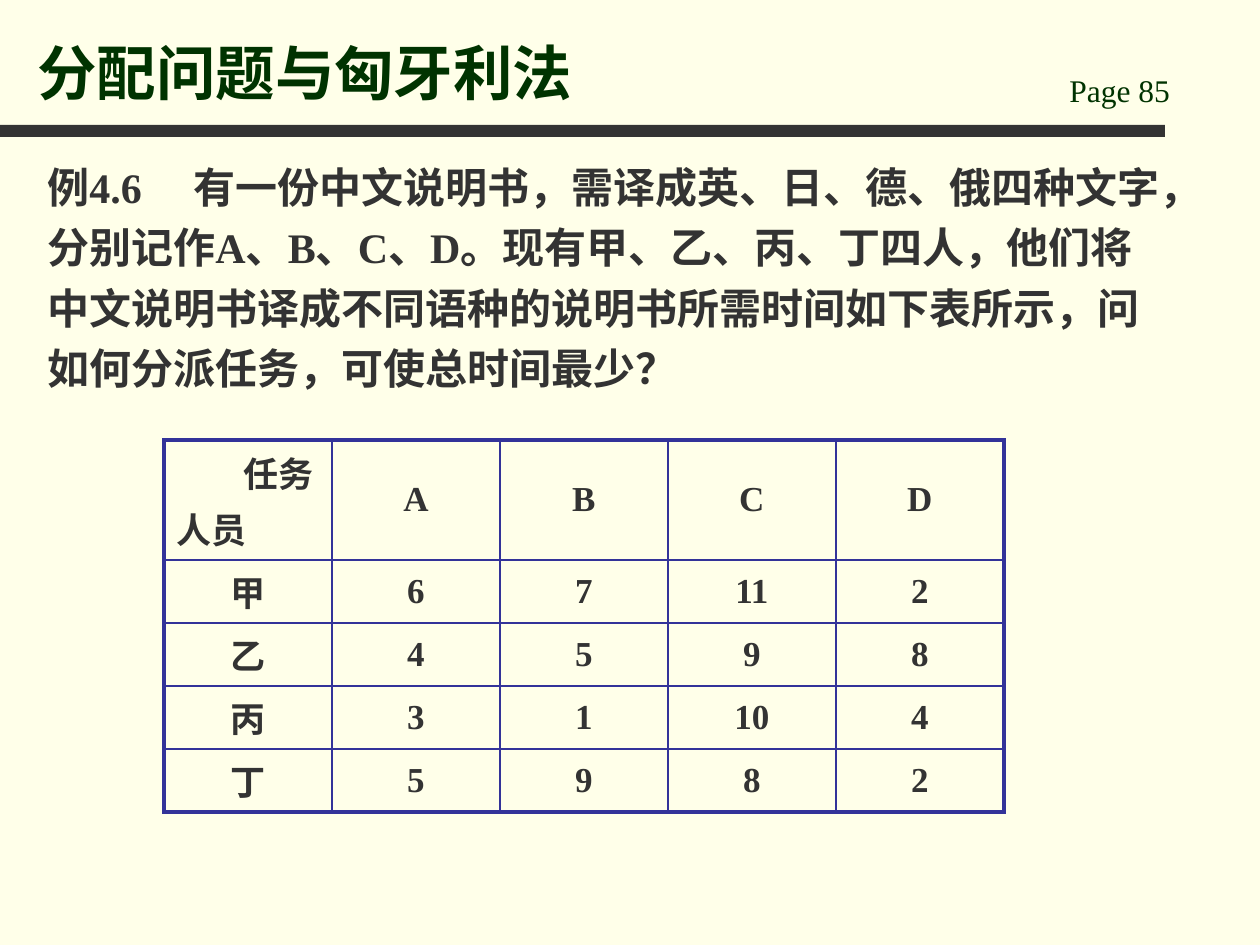
from pptx import Presentation
from pptx.dml.color import RGBColor
from pptx.enum.lang import MSO_LANGUAGE_ID
from pptx.enum.shapes import MSO_SHAPE
from pptx.enum.text import MSO_ANCHOR, PP_ALIGN
from pptx.oxml.ns import qn
from pptx.util import Pt
from lxml.etree import SubElement

PX = 914400 / 126
CREAM = RGBColor(0xFF, 0xFF, 0xE9)
GREEN = RGBColor(0x00, 0x33, 0x00)
DARK = RGBColor(0x33, 0x33, 0x33)
BLUE = RGBColor(0x33, 0x33, 0x99)
FONT = "Times New Roman"

TITLE = "分配问题与匈牙利法"
PROBLEM = ("例4.6\t有一份中文说明书，需译成英、日、德、俄四种文字，"
           "分别记作A、B、C、D。现有甲、乙、丙、丁四人，"
           "他们将中文说明书译成不同语种的说明书所需时间如下表所示，"
           "问如何分派任务，可使总时间最少？")
TASKS = ["A", "B", "C", "D"]
HOURS = {
    "甲": [6, 7, 11, 2],
    "乙": [4, 5, 9, 8],
    "丙": [3, 1, 10, 4],
    "丁": [5, 9, 8, 2],
}


def px(*values):
    return [round(v * PX) for v in values]


def write(p, text, size, color, bold=True, **layout):
    r = p.add_run()
    r.text = text
    r.font.color.rgb = color
    look = {"name": FONT, "size": Pt(size), "bold": bold,
            "language_id": MSO_LANGUAGE_ID.SIMPLIFIED_CHINESE}
    for target, values in ((r.font, look), (p, layout)):
        for name, value in values.items():
            setattr(target, name, value)


def add_text(s, box, text, size, color, anchor=MSO_ANCHOR.TOP, **kw):
    tf = s.shapes.add_textbox(*px(*box)).text_frame
    tf.word_wrap = True
    tf.vertical_anchor = anchor
    p = tf.paragraphs[0]
    write(p, text, size, color, **kw)
    return p


def add_header(s, x, y, w, h):
    bar = s.shapes.add_shape(MSO_SHAPE.RECTANGLE, *px(x, y + h - 12, w, 12))
    bar.shadow.inherit = False
    bar.fill.solid()
    bar.fill.fore_color.rgb = DARK
    bar.line.fill.background()
    add_text(s, (x + 1057, y + 65, 179, 50), "Page 85", 18, GREEN, bold=False)
    add_text(s, (x + 25, y + 16, 1012, 98), TITLE, 34, GREEN, MSO_ANCHOR.BOTTOM)


def add_problem(s, *box):
    p = add_text(s, box, PROBLEM, 24, DARK, line_spacing=1.2, space_before=Pt(3.6))
    tabs = SubElement(p._p.get_or_add_pPr(), qn("a:tabLst"))
    SubElement(tabs, qn("a:tab"), pos=str(px(146)[0]), algn="l")


def set_borders(cell, widths):
    tcPr = cell._tc.get_or_add_tcPr()
    for side, width in widths.items():
        ln = SubElement(tcPr, qn(f"a:ln{side}"), w=str(Pt(width)))
        fill = SubElement(ln, qn("a:solidFill"))
        SubElement(fill, qn("a:srgbClr"), val=str(BLUE))


def add_hours_table(s, x, y, w, h):
    rows = [[None, *TASKS]] + [[who, *hours] for who, hours in HOURS.items()]
    n_rows, n_cols = len(rows), len(rows[0])
    row_h = 63
    table = s.shapes.add_table(n_rows, n_cols, *px(x, y, w, h)).table
    table.first_row = table.horz_banding = False
    for col in table.columns:
        col.width = px(w / n_cols)[0]
    for i, row in enumerate(table.rows):
        row.height = px(row_h if i else h - row_h * (n_rows - 1))[0]
    for i, values in enumerate(rows):
        for j, value in enumerate(values):
            cell = table.cell(i, j)
            cell.vertical_anchor = MSO_ANCHOR.MIDDLE
            cell.margin_top = cell.margin_bottom = px(4)[0]
            edges = {"L": j == 0, "R": j == n_cols - 1,
                     "T": i == 0, "B": i == n_rows - 1}
            set_borders(cell, {k: 2.25 if outer else 1 for k, outer in edges.items()})
            cell.fill.background()
            lines = [(str(value), PP_ALIGN.CENTER)]
            if value is None:
                lines = [("任务", PP_ALIGN.RIGHT), ("人员", PP_ALIGN.LEFT)]
                cell.margin_right = px(18)[0]
            tf = cell.text_frame
            for k, (text, align) in enumerate(lines):
                p = tf.add_paragraph() if k else tf.paragraphs[0]
                write(p, text, 20, DARK, alignment=align,
                      line_spacing=1.0, space_before=Pt(3))


def main():
    prs = Presentation()
    prs.slide_width, prs.slide_height = px(1260, 945)
    s = prs.slides.add_slide(prs.slide_layouts[6])
    s.background.fill.solid()
    s.background.fill.fore_color.rgb = CREAM
    add_header(s, 0, 0, 1165, 137)
    add_problem(s, 35, 145, 1142, 267)
    add_hours_table(s, 164, 440, 840, 372)
    prs.save("out.pptx")


if __name__ == "__main__":
    main()
